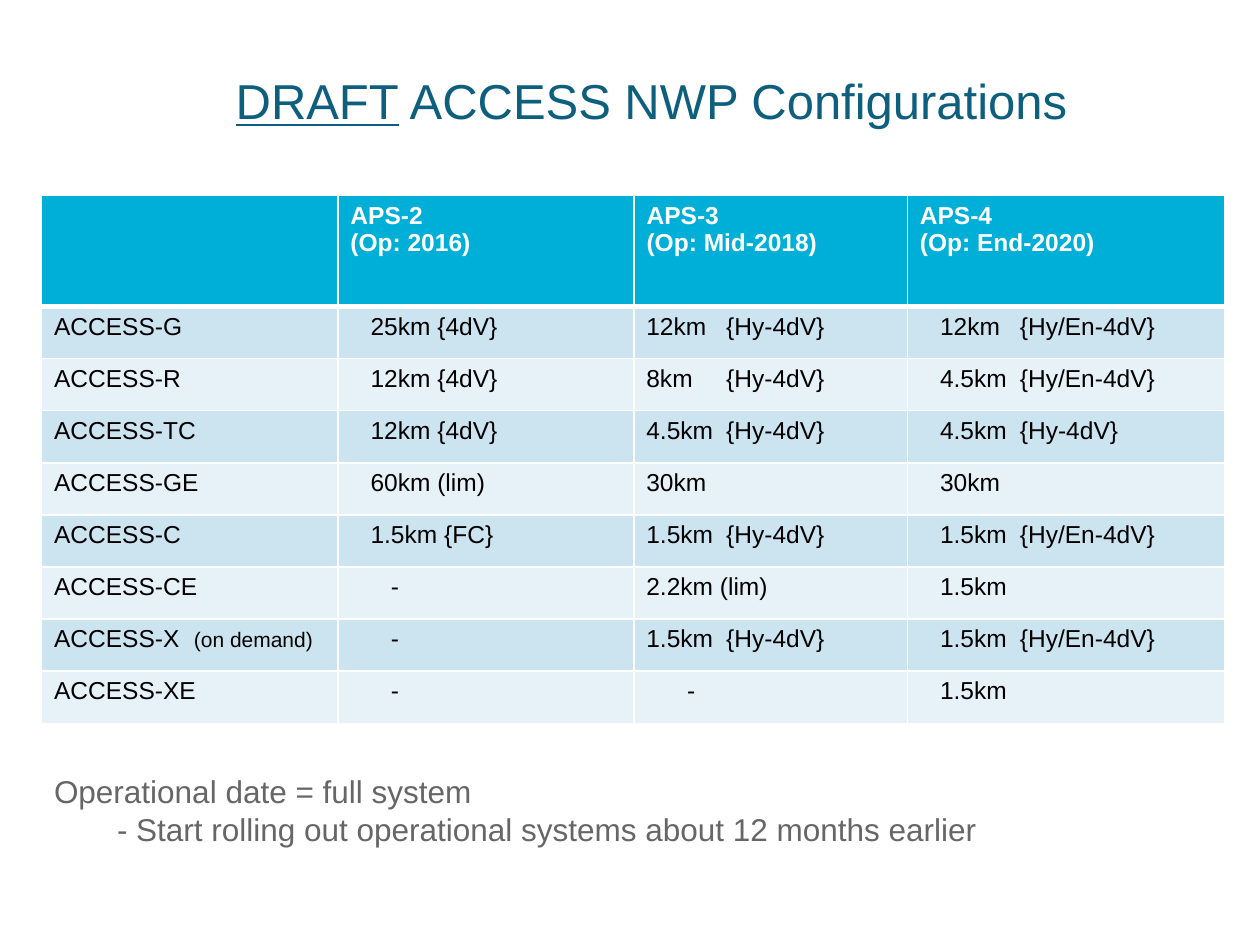
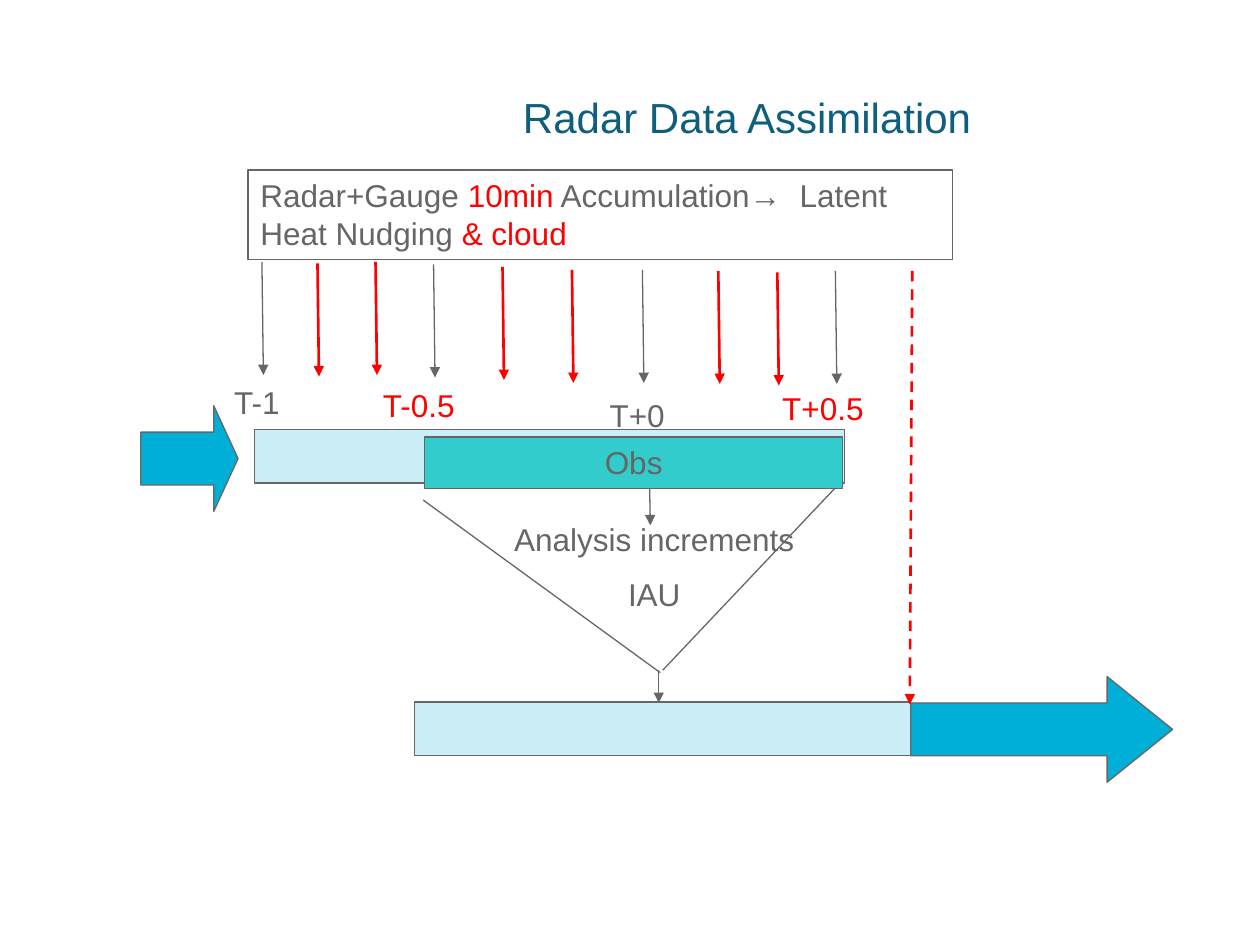
from dataclasses import dataclass
from typing import NamedTuple, Optional

import lxml.etree
import pptx
import pptx.dml.color
import pptx.enum.dml
import pptx.enum.shapes
import pptx.enum.text
import pptx.oxml.ns
import pptx.util

Cm = pptx.util.Cm
Pt = pptx.util.Pt
RGBColor = pptx.dml.color.RGBColor
SHAPE = pptx.enum.shapes.MSO_SHAPE
ALIGN = pptx.enum.text.PP_ALIGN
ANCHOR = pptx.enum.text.MSO_ANCHOR
qn = pptx.oxml.ns.qn

FONT = "Arial"
NAVY = RGBColor(0x0E, 0x5F, 0x7E)
CYAN = RGBColor(0x00, 0xAF, 0xD7)
TEAL = RGBColor(0x33, 0xCC, 0xCC)
GREY = RGBColor(0x66, 0x66, 0x66)
RED = RGBColor(0xFF, 0x00, 0x00)
WHITE = RGBColor(0xFF, 0xFF, 0xFF)
BLACK = RGBColor(0x01, 0x00, 0x00)
BAND_DARK = RGBColor(0xCC, 0xE3, 0xF0)
BAND_LIGHT = RGBColor(0xE7, 0xF2, 0xF8)

CELL_INSET = 0.25
DASH_INSET = 1.07
HEADER_HEIGHT = 2.24
ROW_HEIGHT = 1.05
NUDGE_LENGTH = 2.28
NUDGE_DRIFT = 0.03


class Box(NamedTuple):
    left: float
    top: float
    width: float
    height: float


class Column(NamedTuple):
    width: float
    inset: float
    tab: float
    tail_size: int


@dataclass
class Label:
    text: str
    box: Box
    color: RGBColor = GREY


@dataclass
class Line:
    x1: float
    y1: float
    x2: float
    y2: float
    color: RGBColor = GREY
    arrow: bool = True
    dashed: bool = False


@dataclass
class Block:
    box: Box
    fill: Optional[RGBColor] = None
    kind: SHAPE = SHAPE.RECTANGLE
    opacity: int = 100
    head: Optional[float] = None


COLUMNS = (
    Column(5.97, CELL_INSET, 2.82, 12),
    Column(5.97, 0.66, 1.61, 14),
    Column(5.51, CELL_INSET, 1.61, 14),
    Column(6.4, 0.66, 1.61, 14),
)
HEADERS = (
    (),
    ("APS-2", "(Op: 2016)"),
    ("APS-3", "(Op: Mid-2018)"),
    ("APS-4", "(Op: End-2020)"),
)
MODELS = (
    ("ACCESS-G", "25km {4dV}", "12km\t{Hy-4dV}", "12km\t{Hy/En-4dV}"),
    ("ACCESS-R", "12km {4dV}", "8km\t{Hy-4dV}", "4.5km\t{Hy/En-4dV}"),
    ("ACCESS-TC", "12km {4dV}", "4.5km\t{Hy-4dV}", "4.5km\t{Hy-4dV}"),
    ("ACCESS-GE", "60km (lim)", "30km", "30km"),
    ("ACCESS-C", "1.5km {FC}", "1.5km\t{Hy-4dV}", "1.5km\t{Hy/En-4dV}"),
    ("ACCESS-CE", "-", "2.2km (lim)", "1.5km"),
    ("ACCESS-X\t(on demand)", "-", "1.5km\t{Hy-4dV}", "1.5km\t{Hy/En-4dV}"),
    ("ACCESS-XE", "-", "-", "1.5km"),
)

NUDGES = (
    (5.28, 5.28), (6.4, 5.31), (7.57, 5.28), (8.74, 5.33), (10.13, 5.38),
    (11.53, 5.44), (12.95, 5.44), (14.48, 5.46), (15.67, 5.49), (16.84, 5.46),
)
TIMES = (
    Label("T-1", Box(4.47, 7.59, 2.06, 1.02)),
    Label("T-0.5", Box(7.47, 7.65, 2.46, 1.02), RED),
    Label("T+0", Box(12.04, 7.85, 2.06, 1.02)),
    Label("T+0.5", Box(15.52, 7.72, 2.57, 1.02), RED),
)


def write(p, text: str, *, size: float = 18, color: RGBColor = GREY,
          bold: bool = False, underline: bool = False) -> None:
    r = p.add_run()
    r.text = text
    r.font.name = FONT
    r.font.size = Pt(size)
    r.font.color.rgb = color
    r.font.bold = bold
    r.font.underline = underline


def add_tab(p, position: float) -> None:
    tabs = lxml.etree.SubElement(p._p.get_or_add_pPr(), qn("a:tabLst"))
    lxml.etree.SubElement(tabs, qn("a:tab"), pos=str(Cm(position)), algn="l")


def add_text(s, box: Box, anchor: ANCHOR = ANCHOR.TOP):
    tf = s.shapes.add_textbox(*map(Cm, box)).text_frame
    tf.word_wrap = True
    tf.vertical_anchor = anchor
    return tf


def add_title(s, left: float, top: float):
    p = add_text(s, Box(left, top, 18.14, 3.18), ANCHOR.MIDDLE).paragraphs[0]
    p.alignment = ALIGN.CENTER
    return p


def add_block(s, block: Block):
    sp = s.shapes.add_shape(block.kind, *map(Cm, block.box))
    sp.shadow.inherit = False
    sp.line.color.rgb = GREY
    sp.line.width = Pt(0.75)
    if block.fill is None:
        sp.fill.background()
    else:
        sp.fill.solid()
        sp.fill.fore_color.rgb = block.fill
    if block.opacity < 100:
        color = sp._element.spPr.find(qn("a:solidFill"))[0]
        lxml.etree.SubElement(color, qn("a:alpha"), val=str(block.opacity * 1000))
    if block.head is not None:
        sp.adjustments[0] = 0.5
        sp.adjustments[1] = block.head
    sp.text_frame.word_wrap = True
    sp.text_frame.vertical_anchor = ANCHOR.TOP
    return sp.text_frame.paragraphs[0]


def add_line(s, line: Line) -> None:
    ends = map(Cm, (line.x1, line.y1, line.x2, line.y2))
    sp = s.shapes.add_connector(pptx.enum.shapes.MSO_CONNECTOR.STRAIGHT, *ends)
    sp.line.color.rgb = line.color
    sp.line.width = Pt(1.5 if line.color == RED else 0.75)
    if line.dashed:
        sp.line.dash_style = pptx.enum.dml.MSO_LINE.DASH
    if line.arrow:
        lxml.etree.SubElement(sp.line._get_or_add_ln(), qn("a:tailEnd"), type="triangle")
    lxml.etree.SubElement(sp._element.spPr, qn("a:effectLst"))


def paint_cell(cell, fill: RGBColor, top: float, bottom: float) -> None:
    tc_pr = cell._tc.get_or_add_tcPr()
    for side, width in (("L", 1), ("R", 1), ("T", top), ("B", bottom)):
        ln = lxml.etree.SubElement(tc_pr, qn(f"a:ln{side}"), w=str(Pt(width)))
        solid = lxml.etree.SubElement(ln, qn("a:solidFill"))
        lxml.etree.SubElement(solid, qn("a:srgbClr"), val=str(WHITE))
    cell.fill.solid()
    cell.fill.fore_color.rgb = fill


def fill_header(cell, lines: tuple) -> None:
    paint_cell(cell, CYAN, 1, 3)
    tf = cell.text_frame
    for i, text in enumerate(lines):
        p = tf.add_paragraph() if i else tf.paragraphs[0]
        write(p, text, size=14, color=WHITE, bold=True)


def fill_model(cell, text: str, column: Column, row: int) -> None:
    paint_cell(cell, BAND_DARK if row % 2 else BAND_LIGHT, 3 if row == 1 else 1, 1)
    cell.margin_left = Cm(DASH_INSET if text == "-" else column.inset)
    p = cell.text_frame.paragraphs[0]
    start, tab, tail = text.partition("\t")
    write(p, start + tab, size=14, color=BLACK)
    if tail:
        add_tab(p, column.tab)
        write(p, tail, size=column.tail_size, color=BLACK)


def add_configurations(s) -> None:
    p = add_title(s, 4.06, 0.43)
    write(p, "DRAFT", size=28, color=NAVY, underline=True)
    write(p, " ACCESS NWP Configurations", size=28, color=NAVY)

    width = sum(column.width for column in COLUMNS)
    height = HEADER_HEIGHT + ROW_HEIGHT * len(MODELS)
    box = Box(0.84, 3.94, width, height)
    table = s.shapes.add_table(len(MODELS) + 1, len(COLUMNS), *map(Cm, box)).table
    for row in table.rows:
        row.height = Cm(ROW_HEIGHT)
    table.rows[0].height = Cm(HEADER_HEIGHT)
    for c, column in enumerate(COLUMNS):
        table.columns[c].width = Cm(column.width)
        fill_header(table.cell(0, c), HEADERS[c])
        for r, model in enumerate(MODELS, 1):
            fill_model(table.cell(r, c), model[c], column, r)

    tf = add_text(s, Box(0.84, 15.44, 19.89, 1.8))
    write(tf.paragraphs[0], "Operational date = full system")
    p = tf.add_paragraph()
    p._p.get_or_add_pPr().set("marL", str(Cm(1.27)))
    write(p, "- Start rolling out operational systems about 12 months earlier")


def add_assimilation(s) -> None:
    write(add_title(s, 5.99, 0.76), "Radar Data Assimilation", size=24, color=NAVY)
    add_block(s, Block(Box(5.13, 8.66, 11.89, 1.08), CYAN, opacity=20))
    add_block(s, Block(Box(18.36, 13.64, 5.28, 2.13), CYAN, SHAPE.RIGHT_ARROW, head=0.62))

    p = add_block(s, Block(Box(5, 3.43, 14.2, 1.8)))
    p.alignment = ALIGN.LEFT
    add_tab(p, 10.87)
    write(p, "Radar+Gauge ")
    write(p, "10min", color=RED)
    write(p, " Accumulation→\tLatent Heat Nudging ")
    write(p, "& cloud", color=RED)

    tf = add_text(s, Box(10.08, 10.36, 6.22, 2.16))
    for i, text in enumerate(("Analysis increments", "IAU")):
        p = tf.add_paragraph() if i else tf.paragraphs[0]
        p.alignment = ALIGN.CENTER
        if i:
            p.space_before = Pt(10)
        write(p, text)

    add_line(s, Line(13.08, 8.97, 13.11, 10.59))
    add_line(s, Line(8.53, 10.08, 13.31, 13.56, arrow=False))
    add_line(s, Line(13.36, 13.51, 16.89, 9.78, arrow=False))
    add_block(s, Block(Box(8.36, 14.15, 10, 1.08), CYAN, opacity=20))
    add_line(s, Line(18.39, 5.46, 18.34, 14.2, RED, dashed=True))
    add_line(s, Line(13.28, 13.51, 13.28, 14.17))
    add_block(s, Block(Box(2.84, 8.18, 1.96, 2.13), CYAN, SHAPE.RIGHT_ARROW, head=0.25))
    p = add_block(s, Block(Box(8.56, 8.81, 8.43, 1.04), TEAL))
    p.alignment = ALIGN.CENTER
    write(p, "Obs")

    for i, (x, y) in enumerate(NUDGES):
        add_line(s, Line(x, y, x + NUDGE_DRIFT, y + NUDGE_LENGTH, RED if i % 3 else GREY))
    for label in TIMES:
        write(add_text(s, label.box).paragraphs[0], label.text, color=label.color)


def main() -> None:
    prs = pptx.Presentation()
    prs.slide_width = Cm(25.4)
    prs.slide_height = Cm(19.05)
    for build in (add_configurations, add_assimilation):
        build(prs.slides.add_slide(prs.slide_layouts[6]))
    prs.save("out.pptx")


if __name__ == "__main__":
    main()
